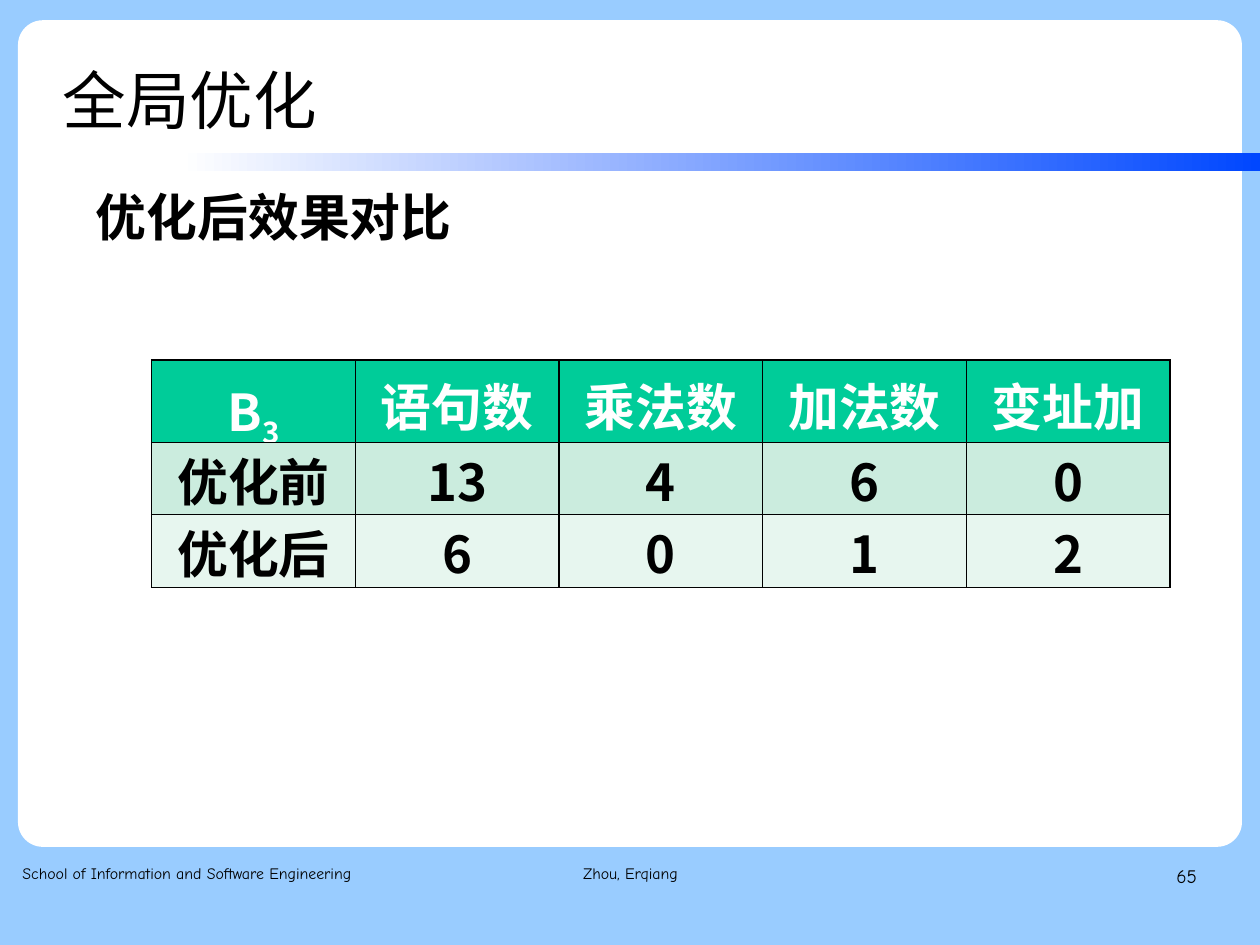
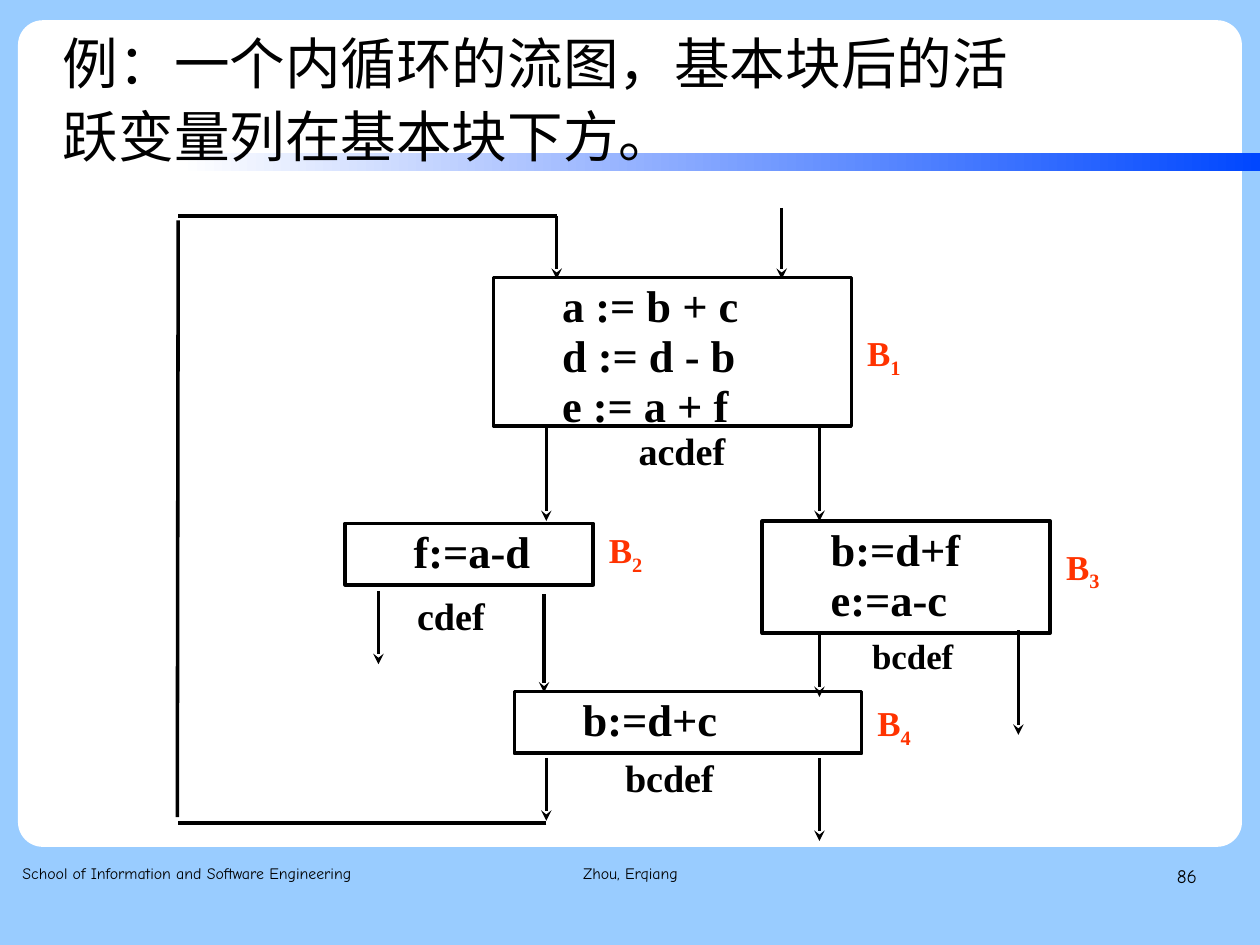
import pptx
import pptx.dml.color
import pptx.enum.shapes
import pptx.enum.text
import pptx.oxml
import pptx.oxml.ns
import pptx.util
from dataclasses import dataclass

Cm = pptx.util.Cm
Pt = pptx.util.Pt
Align = pptx.enum.text.PP_ALIGN
Anchor = pptx.enum.text.MSO_ANCHOR
Preset = pptx.enum.shapes.MSO_SHAPE


@dataclass(frozen=True)
class Theme:
    sky: str = "99CCFF"
    white: str = "FFFFFF"
    black: str = "000000"
    band: str = "0047FF"
    header: str = "00CC99"
    rows: tuple = ("CBECDE", "E7F6EF")
    block_name: str = "FF3300"
    cjk: str = "Noto Sans CJK SC"
    code: str = "Times New Roman"
    footer: str = "Comic Neue"
    title_size: float = 40
    long_title_size: float = 35
    heading_size: float = 32
    code_size: float = 28
    live_size: float = 24
    small_size: float = 22
    number_size: float = 12
    footer_size: float = 10
    line_width: float = 2.25
    border_width: float = 1


THEME = Theme()
ZERO_MARGINS = {f"margin_{side}": 0 for side in ("left", "top", "right", "bottom")}
FLOW_TEXT = {"wrap": False, "spacing": 0.93, "bold": True, "face": THEME.code}


def rgb(value):
    return pptx.dml.color.RGBColor.from_string(value)


def apply(target, values):
    for attribute, value in values.items():
        setattr(target, attribute, value)


def write(frame, lines, size, face=THEME.cjk, color=THEME.black, bold=False,
          align=Align.LEFT, spacing=1.0, indent=None):
    for index, line in enumerate(lines):
        paragraph = frame.paragraphs[0] if index == 0 else frame.add_paragraph()
        apply(paragraph, {"alignment": align, "line_spacing": spacing})
        if indent:
            properties = paragraph._p.get_or_add_pPr()
            for key, length in zip(("marL", "indent"), indent):
                properties.set(key, str(int(Cm(length))))
        base, _, subscript = line.partition("_")
        for part, offset in ((base, None), (subscript, "-25000")):
            if not part:
                continue
            run = paragraph.add_run()
            run.text = part
            apply(run.font, {"size": Pt(size), "bold": bold, "name": face})
            run.font.color.rgb = rgb(color)
            properties = run._r.get_or_add_rPr()
            east_asian = pptx.oxml.parse_xml(
                f'<a:ea {pptx.oxml.ns.nsdecls("a")} typeface="{face}"/>')
            properties.append(east_asian)
            if offset:
                properties.set("baseline", offset)


def add_text(slide, box, lines, size, wrap=True, margins=None,
             anchor=Anchor.TOP, **style):
    frame = slide.shapes.add_textbox(*map(Cm, box)).text_frame
    apply(frame, {"word_wrap": wrap, "vertical_anchor": anchor, **(margins or {})})
    if not wrap:
        frame.auto_size = pptx.enum.text.MSO_AUTO_SIZE.SHAPE_TO_FIT_TEXT
    write(frame, lines, size, **style)


def add_panel(slide, preset, box):
    panel = slide.shapes.add_shape(preset, *map(Cm, box))
    panel.shadow.inherit = False
    panel.line.fill.background()
    return panel


def draw_frame(slide, title, number, title_size):
    slide.background.fill.solid()
    slide.background.fill.fore_color.rgb = rgb(THEME.sky)

    card = add_panel(slide, Preset.ROUNDED_RECTANGLE, (0.4, 0.45, 27.2, 18.37))
    card.adjustments[0] = 0.03
    card.fill.solid()
    card.fill.fore_color.rgb = rgb(THEME.white)

    band = add_panel(slide, Preset.RECTANGLE, (4, 3.4, 24, 0.4))
    band.fill.gradient()
    band.fill.gradient_angle = 0
    for stop, color in zip(band.fill.gradient_stops, (THEME.white, THEME.band)):
        stop.color.rgb = rgb(color)

    add_text(slide, (1.4, 0.85, 21.8, 2.55), [title], title_size,
             margins=ZERO_MARGINS, anchor=Anchor.MIDDLE, spacing=1.1)
    footers = (
        ((0.5, 19.13, 8.5, 1.45), "School of Information and Software Engineering",
         THEME.footer_size, Align.LEFT),
        ((9.58, 19.13, 8.86, 1.45), "Zhou, Erqiang", THEME.footer_size, Align.CENTER),
        ((20.07, 19.13, 6.53, 1.45), number, THEME.number_size, Align.RIGHT),
    )
    for box, words, size, align in footers:
        add_text(slide, box, [words], size, margins=ZERO_MARGINS,
                 face=THEME.footer, align=align, spacing=1.16)


def add_borders(cell):
    properties = cell._tc.get_or_add_tcPr()
    for side in ("lnL", "lnR", "lnT", "lnB"):
        properties.append(pptx.oxml.parse_xml(
            f'<a:{side} {pptx.oxml.ns.nsdecls("a")} w="{int(Pt(THEME.border_width))}">'
            f'<a:solidFill><a:srgbClr val="{THEME.black}"/></a:solidFill></a:{side}>'))


def draw_comparison(slide, box, records, heights):
    table = slide.shapes.add_table(
        len(records), len(records[0]), *map(Cm, box)).table
    for column in table.columns:
        column.width = Cm(box[2] / len(records[0]))
    for r, (record, height) in enumerate(zip(records, heights)):
        table.rows[r].height = Cm(height)
        is_header = r == 0
        for c, words in enumerate(record):
            cell = table.cell(r, c)
            add_borders(cell)
            cell.fill.solid()
            cell.fill.fore_color.rgb = rgb(
                THEME.header if is_header else THEME.rows[r - 1])
            apply(cell, {"margin_top": Cm(0.37 if is_header else 0.2),
                         "margin_bottom": 0})
            write(cell.text_frame, [words], THEME.heading_size, bold=True,
                  color=THEME.white if is_header else THEME.black,
                  align=Align.CENTER, spacing=0.85)


def draw_block(slide, box, name, name_drop, code, live, live_at, live_size):
    left, top, width, height = box
    block = slide.shapes.add_shape(Preset.RECTANGLE, *map(Cm, box))
    block.shadow.inherit = False
    block.fill.background()
    block.line.color.rgb = rgb(THEME.black)
    block.line.width = Pt(THEME.line_width)
    apply(block.text_frame, {"word_wrap": True, "vertical_anchor": Anchor.TOP})
    write(block.text_frame, code, THEME.code_size, face=THEME.code, bold=True,
          spacing=0.93, indent=(2.06, -0.79))
    add_text(slide, (left + width + 0.1, top + name_drop, 1.3, 1.12), [name],
             THEME.small_size, color=THEME.block_name, **FLOW_TEXT)
    live_left, live_gap, live_width = live_at
    add_text(slide, (left + live_left, top + height + live_gap, live_width, 1.22),
             [live], live_size, **FLOW_TEXT)


def draw_edge(slide, start, end, arrow):
    edge = slide.shapes.add_connector(
        pptx.enum.shapes.MSO_CONNECTOR.STRAIGHT, *map(Cm, (*start, *end)))
    edge.line.color.rgb = rgb(THEME.black)
    edge.line.width = Pt(THEME.line_width)
    namespace = pptx.oxml.ns.nsdecls("a")
    if arrow:
        edge.line._get_or_add_ln().append(
            pptx.oxml.parse_xml(f'<a:tailEnd {namespace} type="stealth"/>'))
    edge._element.spPr.append(pptx.oxml.parse_xml(f'<a:effectLst {namespace}/>'))


def draw_flow(slide, box):
    origin_x, origin_y = box[:2]
    blocks = (
        ((7.07, 1.57, 7.95, 3.3), "B_1", 1.07, ["a := b + c", "d := d - b", "e := a + f"],
         "acdef", (2.97, 0, 2.46), THEME.live_size),
        ((3.77, 7.03, 5.51, 1.37), "B_2", 0, ["f:=a-d"],
         "cdef", (1.35, 0.13, 2.03), THEME.live_size),
        ((13.04, 6.98, 6.4, 2.49), "B_3", 0.41, ["b:=d+f", "e:=a-c"],
         "bcdef", (2.19, 0, 2.34), THEME.small_size),
        ((7.53, 10.77, 7.72, 1.37), "B_4", 0.1, ["b:=d+c"],
         "bcdef", (2.21, 0, 2.51), THEME.live_size),
    )
    for (left, top, width, height), *content in blocks:
        draw_block(slide, (origin_x + left, origin_y + top, width, height), *content)

    arrows = (
        (13.47, 0.02, 1.6), (8.47, 0.2, 1.6),
        (8.24, 4.87, 6.98), (14.31, 4.87, 6.98),
        (4.51, 8.53, 10.16), (8.19, 8.61, 10.79),
        (14.31, 9.5, 10.89), (18.73, 9.4, 11.73),
        (8.24, 12.24, 13.64), (14.31, 12.24, 14.09),
    )
    back_edge = (
        ((8.24, 13.69), (0.06, 13.69)),
        ((0.04, 13.56), (0.06, 0.3)),
        ((0.06, 0.2), (8.47, 0.2)),
    )
    edges = [((x, top), (x, bottom), True) for x, top, bottom in arrows]
    edges += [(start, end, False) for start, end in back_edge]
    for start, end, arrow in edges:
        draw_edge(slide, (origin_x + start[0], origin_y + start[1]),
                  (origin_x + end[0], origin_y + end[1]), arrow)


def main():
    deck = pptx.Presentation()
    apply(deck, {"slide_width": Cm(28), "slide_height": Cm(21)})
    blank = deck.slide_layouts[6]

    comparison = deck.slides.add_slide(blank)
    draw_frame(comparison, "全局优化", "65", THEME.title_size)
    add_text(comparison, (1.88, 4.11, 19.13, 1.55), ["优化后效果对比"],
             THEME.heading_size, bold=True, spacing=0.95)
    draw_comparison(comparison, (3.37, 8, 22.63, 5.05), (
        ("B_3", "语句数", "乘法数", "加法数", "变址加"),
        ("优化前", "13", "4", "6", "0"),
        ("优化后", "6", "0", "1", "2"),
    ), (1.83, 1.61, 1.61))

    flow = deck.slides.add_slide(blank)
    draw_frame(flow, "例：一个内循环的流图，基本块后的活跃变量列在基本块下方。", "86",
               THEME.long_title_size)
    draw_flow(flow, (3.9, 4.6, 20.84, 14.09))

    deck.save("out.pptx")


if __name__ == "__main__":
    main()
